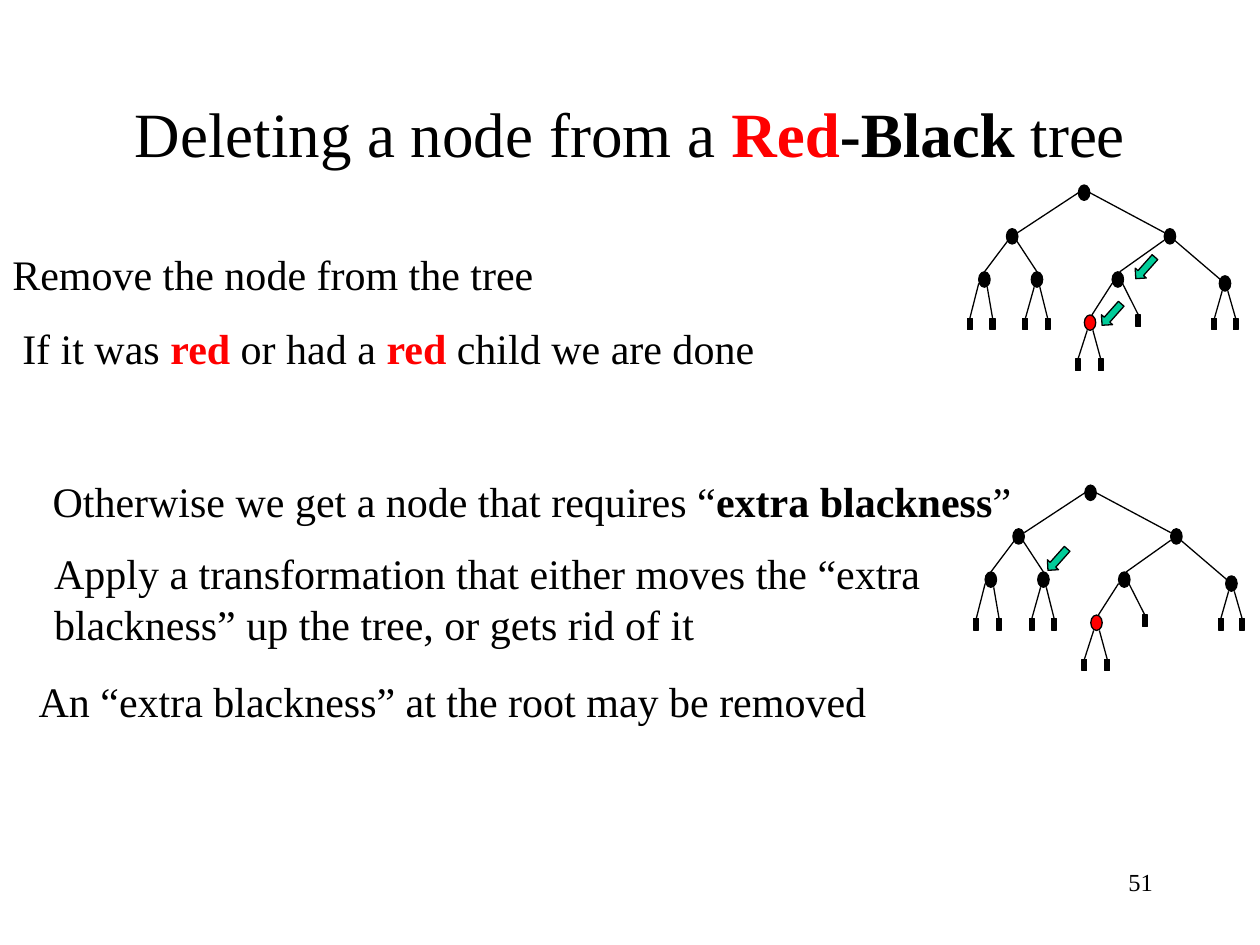
from dataclasses import dataclass

from lxml.etree import SubElement
from pptx import Presentation
from pptx.dml.color import RGBColor
from pptx.enum.shapes import MSO_CONNECTOR as Link, MSO_SHAPE as Preset
from pptx.enum.text import MSO_ANCHOR as Anchor, PP_ALIGN as Align
from pptx.oxml.ns import qn
from pptx.util import Cm, Pt

COLORS = {"black": "000000", "red": "FF0000", "arrow": "00CC99"}
FONT = "Times New Roman"
LINE_WIDTH = Pt(0.75)
NODE_SIZE = (0.23, 0.31)
LEAF_SIZE = (0.1, 0.23)
ARROW_SIZE = (0.58, 0.3)
ARROW_ROTATION = 311.7


@dataclass(frozen=True)
class Span:
    text: str
    color: str = "black"
    bold: bool = False


@dataclass(frozen=True)
class TextBlock:
    left: float
    top: float
    width: float
    height: float
    spans: tuple[Span, ...]
    size: int = 24
    align: Align = Align.LEFT
    anchor: Anchor = Anchor.TOP


@dataclass(frozen=True)
class Node:
    left: float
    top: float
    color: str = "black"


@dataclass(frozen=True)
class Branch:
    parent: str
    child: str
    start: tuple[float, float]
    end: tuple[float, float]


@dataclass(frozen=True)
class Leaf:
    parent: str
    left: float
    top: float
    start: tuple[float, float]


@dataclass(frozen=True)
class Tree:
    left: float
    top: float
    arrows: tuple[tuple[float, float], ...]


TEXTS = (
    TextBlock(18.21, 17.35, 5.28, 1.27, (Span("51"),), 14, Align.RIGHT),
    TextBlock(1.9, 1.07, 21.6, 3.18, (
        Span("Deleting a node from a "), Span("Red", "red", True),
        Span("-Black", bold=True), Span(" tree"),
    ), 36, Align.CENTER, Anchor.MIDDLE),
    TextBlock(0, 4.88, 25.4, 1.27, (Span("Remove the node from the tree"),)),
    TextBlock(0.2, 6.38, 21.79, 1.27, (
        Span("If it was "), Span("red", "red", True), Span(" or had a "),
        Span("red", "red", True), Span(" child we are done"),
    )),
    TextBlock(0.81, 9.47, 25.4, 1.27, (
        Span("Otherwise we get a node that requires “"),
        Span("extra blackness", bold=True), Span("”"),
    )),
    TextBlock(0.84, 10.92, 20.12, 2.31, (
        Span("Apply a transformation that either moves the “extra "
             "blackness” up the tree, or gets rid of it"),
    )),
    TextBlock(0.53, 13.49, 22.02, 1.27, (
        Span("An “extra blackness” at the root may be removed"),
    )),
)

NODES = {
    "root": Node(2.24, 0),
    "left": Node(0.79, 0.88),
    "right": Node(3.97, 0.88),
    "left-left": Node(0.23, 1.75),
    "left-right": Node(1.29, 1.75),
    "right-left": Node(2.92, 1.75),
    "right-right": Node(5.08, 1.83),
    "red": Node(2.36, 2.62, "red"),
}

BRANCHES = (
    Branch("root", "left", (0, 0.5), (1, 0.25)),
    Branch("root", "right", (1, 0.5), (0, 0.25)),
    Branch("left", "left-left", (0.1, 0.8), (0.5, 0)),
    Branch("left", "left-right", (0.9, 0.8), (0.5, 0)),
    Branch("right", "right-left", (0, 0.75), (0.66, 0)),
    Branch("right", "right-right", (0.5, 0.5), (0.5, 0.5)),
    Branch("right-left", "red", (0, 0.75), (0.66, 0)),
)

LOWER_LEFT = (0.25, 1)
LOWER_RIGHT = (0.75, 1)
LEAVES = (
    Leaf("left-left", 0, 2.69, (0, 0.75)),
    Leaf("left-left", 0.46, 2.69, LOWER_RIGHT),
    Leaf("left-right", 1.12, 2.69, LOWER_LEFT),
    Leaf("left-right", 1.57, 2.69, LOWER_RIGHT),
    Leaf("right-left", 3.4, 2.62, (0.9, 0.75)),
    Leaf("right-right", 4.93, 2.69, LOWER_LEFT),
    Leaf("right-right", 5.36, 2.69, LOWER_RIGHT),
    Leaf("red", 2.18, 3.51, LOWER_LEFT),
    Leaf("red", 2.64, 3.51, LOWER_RIGHT),
)

TREES = (
    Tree(19.5, 3.73, ((2.62, 2.46), (3.3, 1.52))),
    Tree(19.63, 9.78, ((1.4, 1.35),)),
)


def rgb(color: str) -> RGBColor:
    return RGBColor.from_string(COLORS[color])


def draw_text(slide, block: TextBlock) -> None:
    box = slide.shapes.add_textbox(
        Cm(block.left), Cm(block.top), Cm(block.width), Cm(block.height))
    frame = box.text_frame
    frame.word_wrap = True
    frame.vertical_anchor = block.anchor
    paragraph = frame.paragraphs[0]
    paragraph.alignment = block.align
    for span in block.spans:
        run = paragraph.add_run()
        run.text = span.text
        run.font.name = FONT
        run.font.size = Pt(block.size)
        run.font.bold = span.bold
        run.font.color.rgb = rgb(span.color)


def draw_mark(shapes, preset: Preset, left: float, top: float,
              size: tuple[float, float], color: str):
    mark = shapes.add_shape(preset, Cm(left), Cm(top), Cm(size[0]), Cm(size[1]))
    mark.shadow.inherit = False
    mark.fill.solid()
    mark.fill.fore_color.rgb = rgb(color)
    mark.line.color.rgb = rgb("black")
    mark.line.width = LINE_WIDTH
    return mark


def point_on(mark, position: tuple[float, float]) -> tuple[int, int]:
    across, down = position
    return (round(mark.left + across * mark.width),
            round(mark.top + down * mark.height))


def draw_edge(shapes, start: tuple[int, int], end: tuple[int, int]):
    edge = shapes.add_connector(Link.STRAIGHT, *start, *end)
    edge.line.color.rgb = rgb("black")
    edge.line.width = LINE_WIDTH
    SubElement(edge.element.spPr, qn("a:effectLst"))
    return edge


def draw_tree(slide, tree: Tree) -> None:
    shapes = slide.shapes.add_group_shape().shapes
    nodes = {
        key: draw_mark(shapes, Preset.OVAL, tree.left + node.left,
                       tree.top + node.top, NODE_SIZE, node.color)
        for key, node in NODES.items()
    }
    for branch in BRANCHES:
        draw_edge(shapes, point_on(nodes[branch.parent], branch.start),
                  point_on(nodes[branch.child], branch.end))
    for leaf in LEAVES:
        tip = draw_mark(shapes, Preset.RECTANGLE, tree.left + leaf.left,
                        tree.top + leaf.top, LEAF_SIZE, "black")
        edge = draw_edge(shapes, point_on(nodes[leaf.parent], leaf.start),
                         point_on(tip, (0.5, 0)))
        edge.end_connect(tip, 0)
    for left, top in tree.arrows:
        arrow = draw_mark(shapes, Preset.LEFT_ARROW, tree.left + left,
                          tree.top + top, ARROW_SIZE, "arrow")
        arrow.rotation = ARROW_ROTATION


def main() -> None:
    deck = Presentation()
    deck.slide_width, deck.slide_height = Cm(25.4), Cm(19.05)
    slide = deck.slides.add_slide(deck.slide_layouts[6])
    for block in TEXTS:
        draw_text(slide, block)
    for tree in TREES:
        draw_tree(slide, tree)
    deck.save("out.pptx")


if __name__ == "__main__":
    main()
